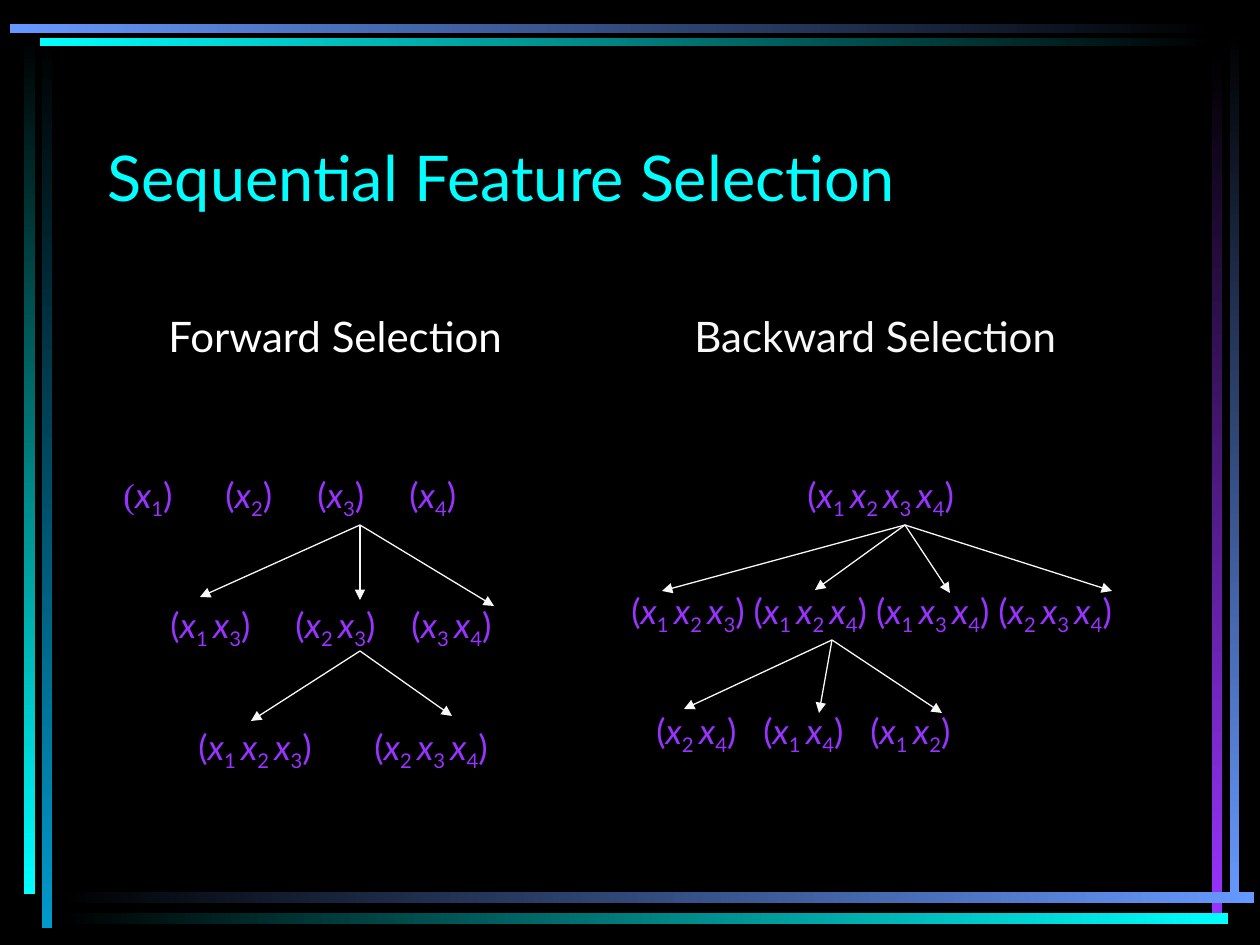
from itertools import groupby

from lxml.etree import SubElement
from pptx import Presentation
from pptx.dml.color import RGBColor
from pptx.enum.shapes import MSO_CONNECTOR, MSO_SHAPE
from pptx.enum.text import MSO_ANCHOR, MSO_AUTO_SIZE, PP_ALIGN
from pptx.oxml.ns import qn
from pptx.util import Pt

PX = 914400 / 126
COLORS = {
    "black": "000000",
    "cyan": "00FFFF",
    "teal": "0099CC",
    "blue": "6699FF",
    "purple": "9933FF",
    "white": "FFFFFF",
    "offwhite": "F8F8F8",
}
RGB = {name: RGBColor.from_string(value) for name, value in COLORS.items()}


def emu(*lengths):
    return [round(length * PX) for length in lengths]


def write(frame, text, *, size, color, anchor=MSO_ANCHOR.TOP, formula=False, tabs=(), lead_font="Lato"):
    frame.word_wrap = True
    frame.auto_size = MSO_AUTO_SIZE.NONE
    frame.vertical_anchor = anchor
    paragraph = frame.paragraphs[0]
    paragraph.alignment = PP_ALIGN.LEFT
    if tabs:
        stops = SubElement(paragraph._p.get_or_add_pPr(), qn("a:tabLst"))
        for stop in emu(*tabs):
            SubElement(stops, qn("a:tab"), pos=str(stop), algn="l")
    kinds = []
    for char in text:
        if not formula:
            kinds.append("plain")
        elif char == " ":
            kinds.append(kinds[-1])
        else:
            kinds.append("variable" if char == "x" else "index" if char.isdigit() else "plain")
    for position, (kind, pairs) in enumerate(groupby(zip(kinds, text), key=lambda pair: pair[0])):
        run = paragraph.add_run()
        run.text = "".join(char for _, char in pairs)
        run.font.name = "Lato" if position else lead_font
        run.font.size = Pt(size)
        run.font.color.rgb = RGB[color]
        run.font.italic = kind == "variable"
        if kind == "index":
            run._r.get_or_add_rPr().set("baseline", "-25000")


deck = Presentation()
deck.slide_width, deck.slide_height = emu(1260, 945)
slide = deck.slides.add_slide(deck.slide_layouts[5])
slide.background.fill.solid()
slide.background.fill.fore_color.rgb = RGB["black"]

border_bars = [
    (42, 35, 10, 893, "black", "teal"),
    (24, 32, 11, 862, "black", "cyan"),
    (1230, 30, 9, 873, "black", "blue"),
    (1212, 53, 10, 861, "black", "purple"),
    (57, 892, 1197, 11, "black", "blue"),
    (57, 913, 1171, 11, "black", "cyan"),
    (40, 38, 1174, 8, "cyan", "black"),
    (10, 24, 1205, 9, "blue", "black"),
]
for left, top, width, height, start, end in border_bars:
    bar = slide.shapes.add_shape(MSO_SHAPE.RECTANGLE, *emu(left, top, width, height))
    bar.shadow.inherit = False
    bar.line.fill.background()
    bar.fill.gradient()
    bar.fill.gradient_angle = 270 if height > width else 0
    for stop, color in zip(bar.fill.gradient_stops, (start, end)):
        stop.color.rgb = RGB[color]
    for stop, offset in zip(bar.fill.gradient_stops, (0, 1)):
        stop.position = offset

title = slide.shapes.title
title.left, title.top, title.width, title.height = emu(95, 84, 1071, 136)
write(title.text_frame, "Sequential Feature Selection", size=36, color="cyan", anchor=MSO_ANCHOR.BOTTOM)

headings = [
    ("Forward Selection", 156, 379, "white"),
    ("Backward Selection", 682, 408, "offwhite"),
]
for text, left, width, color in headings:
    heading = slide.shapes.add_textbox(*emu(left, 304, width, 63))
    write(heading.text_frame, text, size=24, color=color)

feature_sets = [
    ("(x1)\t(x2)\t(x3)\t(x4)", 111, 467, 370, (102, 194, 286), "Times New Roman"),
    ("(x1 x3)\t(x2 x3)\t(x3 x4)", 158, 597, 358, (125, 241), "Lato"),
    ("(x1 x2 x3)\t(x2 x3 x4)", 186, 719, 333, (176,), "Lato"),
    ("(x1 x2 x3 x4)", 795, 467, 180, (), "Lato"),
    ("(x1 x2 x3) (x1 x2 x4) (x1 x3 x4) (x2 x3 x4)", 619, 583, 530, (), "Lato"),
    ("(x2 x4)\t(x1 x4)\t(x1 x2)", 644, 703, 330, (107, 214), "Lato"),
]
for text, left, top, width, tabs, lead_font in feature_sets:
    row = slide.shapes.add_textbox(*emu(left, top, width, 60))
    write(row.text_frame, text, size=20, color="purple", formula=True, tabs=tabs, lead_font=lead_font)

branches = [
    ((360, 525), [(200, 597), (360, 600), (494, 606)]),
    ((360, 651), [(251, 721), (452, 716)]),
    ((905, 525), [(662, 591), (815, 590), (950, 593), (1112, 591)]),
    ((832, 640), [(684, 709), (819, 713), (942, 713)]),
]
for origin, targets in branches:
    for target in targets:
        arrow = slide.shapes.add_connector(MSO_CONNECTOR.STRAIGHT, *emu(*origin, *target))
        arrow.line.color.rgb = RGB["offwhite"]
        arrow.line.width = Pt(0.75)
        SubElement(arrow.line._get_or_add_ln(), qn("a:tailEnd"), type="triangle")
        SubElement(arrow._element.spPr, qn("a:effectLst"))

deck.save("out.pptx")
